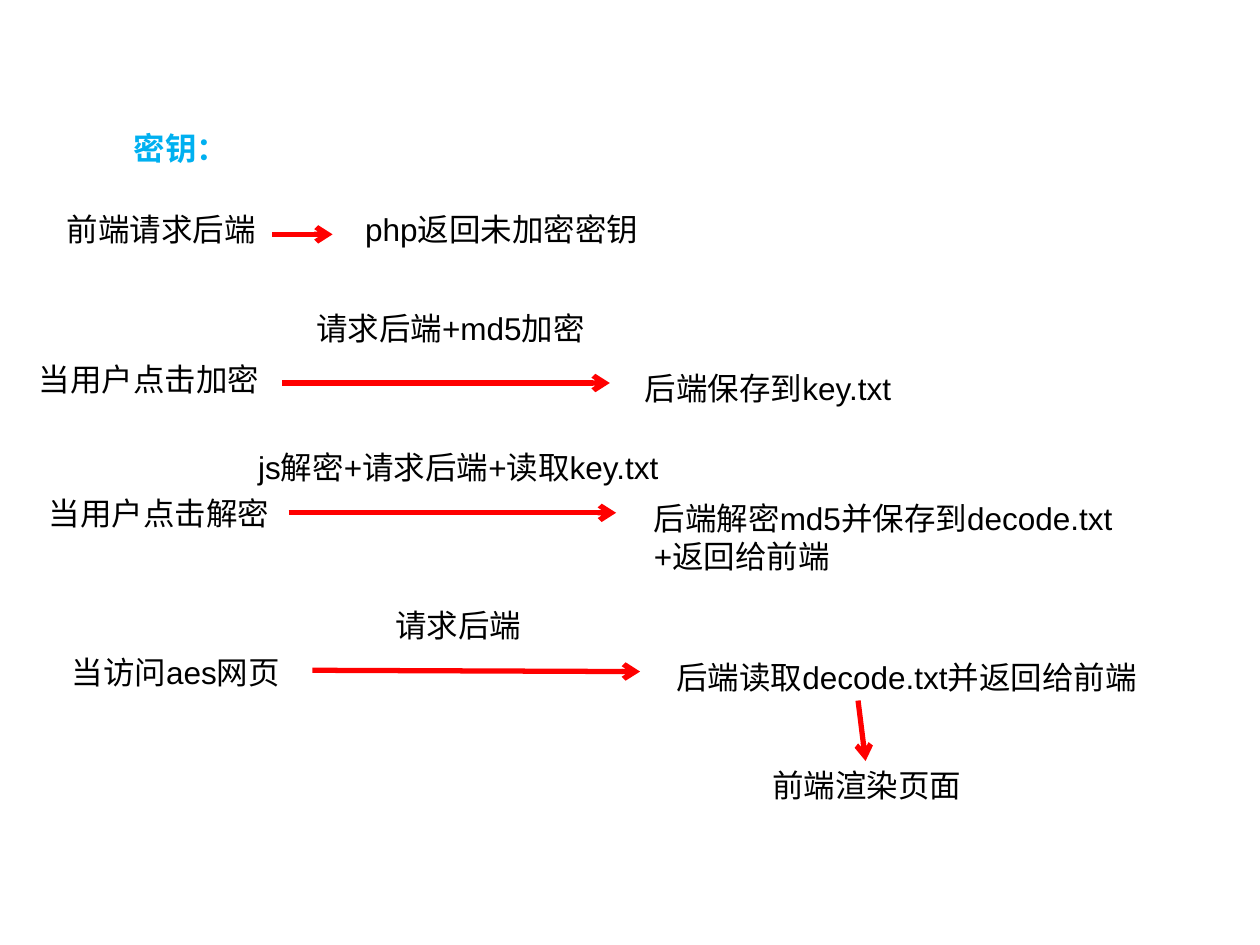
"""Build the key-exchange flow slide: request steps joined by red arrows."""
from dataclasses import dataclass

from lxml import etree
from pptx import Presentation
from pptx.dml.color import RGBColor
from pptx.enum.shapes import MSO_CONNECTOR
from pptx.enum.text import MSO_ANCHOR, MSO_AUTO_SIZE, PP_ALIGN
from pptx.oxml.ns import qn
from pptx.util import Pt

PX = 9144
STRAIGHT = MSO_CONNECTOR.STRAIGHT
TOP, LEFT, FIT = MSO_ANCHOR.TOP, PP_ALIGN.LEFT, MSO_AUTO_SIZE.SHAPE_TO_FIT_TEXT


@dataclass(frozen=True)
class Theme:
    text: RGBColor = RGBColor(0, 0, 0)
    title: RGBColor = RGBColor(0x00, 0xB0, 0xF0)
    arrow: RGBColor = RGBColor(0xFF, 0, 0)
    font: str = "Arial"
    size: int = 18
    line: int = 3


@dataclass(frozen=True)
class Label:
    text: str
    x: int
    y: int
    w: int
    h: int = 40


@dataclass(frozen=True)
class Arrow:
    x1: int
    y1: int
    x2: int
    y2: int


THEME = Theme()
TITLE = Label("密钥：", 96, 97, 95)
LABELS = (
    Label("前端请求后端", 43, 162, 170),
    Label("php返回未加密密钥", 280, 162, 242),
    Label("当用户点击加密", 21, 281, 195),
    Label("请求后端+md5加密", 241, 240, 245),
    Label("后端保存到key.txt", 502, 288, 223),
    Label("当用户点击解密", 29, 387, 195),
    Label("js解密+请求后端+读取key.txt", 195, 351, 375),
    Label("后端解密md5并保存到decode.txt\n+返回给前端", 509, 391, 402, 70),
    Label("当访问aes网页", 47, 513, 197),
    Label("请求后端", 304, 476, 120),
    Label("后端读取decode.txt并返回给前端", 527, 517, 397),
    Label("前端渲染页面", 603, 603, 170),
)
ARROWS = (
    Arrow(216, 186, 264, 186),
    Arrow(224, 304, 484, 304),
    Arrow(229, 407, 489, 407),
    Arrow(248, 532, 508, 533),
    Arrow(681, 556, 687, 604),
)


def set_all(obj: object, values: dict) -> None:
    """Set each named attribute on the object."""
    for name, value in values.items():
        setattr(obj, name, value)


def write_label(sp, label: Label, color: RGBColor, bold: bool = False) -> None:
    """Place a text shape and fill it with formatted text."""
    set_all(sp, {"left": label.x * PX, "top": label.y * PX,
                 "width": label.w * PX, "height": label.h * PX})
    tf = sp.text_frame
    tf.text = label.text
    set_all(tf, {"word_wrap": False, "auto_size": FIT, "vertical_anchor": TOP,
                 "margin_left": 10 * PX, "margin_right": 10 * PX,
                 "margin_top": 5 * PX, "margin_bottom": 5 * PX})
    for p in tf.paragraphs:
        p.alignment = LEFT
        for r in p.runs:
            set_all(r.font, {"name": THEME.font, "size": Pt(THEME.size), "bold": bold})
            r.font.color.rgb = color


def draw_arrow(s, arrow: Arrow) -> None:
    """Draw a straight connector with an open arrowhead at its end."""
    ends = (arrow.x1, arrow.y1, arrow.x2, arrow.y2)
    cxn = s.shapes.add_connector(STRAIGHT, *(v * PX for v in ends))
    cxn.line.color.rgb = THEME.arrow
    cxn.line.width = Pt(THEME.line)
    etree.SubElement(cxn.line._get_or_add_ln(), qn("a:tailEnd"), type="arrow")
    etree.SubElement(cxn._element.spPr, qn("a:effectLst"))


def main() -> None:
    """Assemble and save the slide."""
    prs = Presentation()
    set_all(prs, {"slide_width": 1000 * PX, "slide_height": 750 * PX})
    s = prs.slides.add_slide(prs.slide_layouts[5])
    write_label(s.shapes.title, TITLE, THEME.title, bold=True)
    for label in LABELS:
        write_label(s.shapes.add_textbox(0, 0, 0, 0), label, THEME.text)
    for arrow in ARROWS:
        draw_arrow(s, arrow)
    prs.save("out.pptx")


if __name__ == "__main__":
    main()
